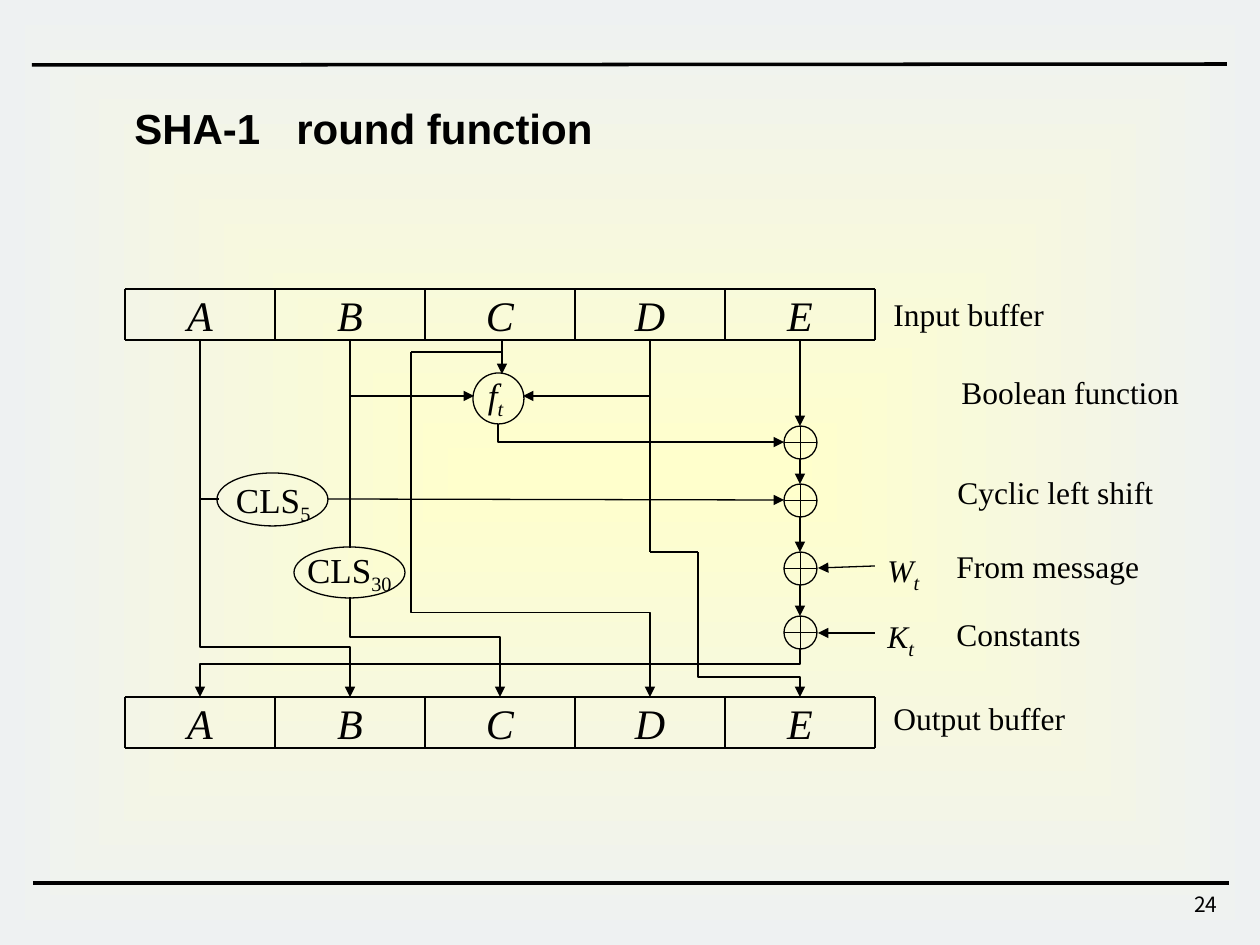
"""Build the SHA-1 round function slide."""
from pptx import Presentation
from pptx.dml.color import RGBColor
from pptx.enum.shapes import MSO_CONNECTOR, MSO_SHAPE
from pptx.enum.text import MSO_ANCHOR, PP_ALIGN
from pptx.oxml.ns import qn
from pptx.oxml.xmlchemy import OxmlElement
from pptx.util import Emu, Pt

STRAIGHT, ELBOW = MSO_CONNECTOR.STRAIGHT, MSO_CONNECTOR.ELBOW
RECTANGLE, OVAL, XOR = MSO_SHAPE.RECTANGLE, MSO_SHAPE.OVAL, MSO_SHAPE.FLOWCHART_OR
MIDDLE, TOP = MSO_ANCHOR.MIDDLE, MSO_ANCHOR.TOP
LEFT, CENTER, RIGHT = PP_ALIGN.LEFT, PP_ALIGN.CENTER, PP_ALIGN.RIGHT

BLACK = RGBColor(0x00, 0x00, 0x00)
CREAM = RGBColor(0xFF, 0xFF, 0xCC)
MIST = RGBColor(0xEE, 0xF1, 0xF2)
SERIF, SANS, NUMBER_FONT = "Times New Roman", "Arial", "Noto Sans CJK KR"

PX_PER_INCH = 126
REGISTERS = "ABCDE"
BUFFER_LEFT, CELL_WIDTH, CELL_HEIGHT = 125, 150, 51
INPUT_TOP, OUTPUT_TOP = 289, 697
XOR_SIZE = 33
XOR_TOPS = (426, 484, 552, 616)


def px(length):
    """Turn pixels into EMU."""
    return Emu(round(length * 914400 / PX_PER_INCH))


def add_child(parent, tag, **attributes):
    """Append an XML element with attributes and return it."""
    child = OxmlElement(tag)
    for name, value in attributes.items():
        child.set(name, str(value))
    parent.append(child)
    return child


def add_background(slide):
    """Fill the slide with a gradient that spreads from the centre."""
    backdrop = slide.shapes.add_shape(RECTANGLE, 0, 0, px(1260), px(945))
    backdrop.shadow.inherit = False
    backdrop.line.fill.background()
    backdrop.fill.gradient()
    for stop, color in zip(backdrop.fill.gradient_stops, (CREAM, MIST)):
        stop.color.rgb = color
    gradient = backdrop.element.spPr.find(qn("a:gradFill"))
    gradient.remove(gradient.find(qn("a:lin")))
    spread = add_child(gradient, "a:path", path="rect")
    add_child(spread, "a:fillToRect", l=50000, t=50000, r=50000, b=50000)


def style_connector(connector, weight, arrow):
    """Give a connector its line, arrowhead and no shadow."""
    connector.line.color.rgb = BLACK
    connector.line.width = Pt(weight)
    properties = connector.element.spPr
    if arrow:
        add_child(properties.find(qn("a:ln")), "a:tailEnd", type="triangle")
    add_child(properties, "a:effectLst")


def add_line(slide, x1, y1, x2, y2, weight=0.75, arrow=False):
    """Draw a straight line."""
    line = slide.shapes.add_connector(STRAIGHT, px(x1), px(y1), px(x2), px(y2))
    style_connector(line, weight, arrow)


def add_elbow(slide, x1, y1, x2, y2, turn_y):
    """Draw an arrow that leaves downwards and turns sideways at turn_y."""
    mid_x, mid_y = (x1 + x2) / 2, (y1 + y2) / 2
    half_x, half_y = (x2 - x1) / 2, (y2 - y1) / 2
    elbow = slide.shapes.add_connector(
        ELBOW, px(mid_x - half_y), px(mid_y + half_x),
        px(mid_x + half_y), px(mid_y - half_x))
    properties = elbow.element.spPr
    properties.find(qn("a:xfrm")).set("rot", "5400000")
    geometry = properties.find(qn("a:prstGeom"))
    if turn_y == y2:
        geometry.set("prst", "bentConnector2")
    else:
        share = round((turn_y - y1) / (y2 - y1) * 100000)
        add_child(geometry.find(qn("a:avLst")), "a:gd", name="adj1", fmla=f"val {share}")
    style_connector(elbow, 0.75, True)


def add_outline(slide, kind, left, top, width, height):
    """Draw an unfilled outlined shape."""
    outline = slide.shapes.add_shape(kind, px(left), px(top), px(width), px(height))
    outline.shadow.inherit = False
    outline.fill.background()
    outline.line.color.rgb = BLACK
    outline.line.width = Pt(0.75)


def add_text(slide, text, left, top, width, height, size=18, font=SERIF, subscript="",
             bold=False, italic=False, align=LEFT, anchor=TOP, wrap=False, inset=True, tab=None):
    """Add one line of text with an optional subscript."""
    frame = slide.shapes.add_textbox(px(left), px(top), px(width), px(height)).text_frame
    frame.word_wrap = wrap
    frame.vertical_anchor = anchor
    if not inset:
        frame.margin_left = frame.margin_right = frame.margin_top = frame.margin_bottom = 0
    paragraph = frame.paragraphs[0]
    paragraph.text = text
    paragraph.alignment = align
    if tab:
        stops = add_child(paragraph._p.get_or_add_pPr(), "a:tabLst")
        add_child(stops, "a:tab", pos=px(tab), algn="l")
    if subscript:
        lowered = paragraph.add_run()
        lowered.text = subscript
        lowered._r.get_or_add_rPr().set("baseline", "-25000")
    for run in paragraph.runs:
        run.font.name, run.font.size = font, Pt(size)
        run.font.bold, run.font.italic = bold, italic
        run.font.color.rgb = BLACK
    if subscript:
        lowered.font.size = Pt(20)


def add_buffer(slide, top):
    """Draw a row of five register cells."""
    right, bottom = BUFFER_LEFT + CELL_WIDTH * len(REGISTERS), top + CELL_HEIGHT
    for column, register in enumerate(REGISTERS):
        add_text(slide, register, BUFFER_LEFT + column * CELL_WIDTH, top, CELL_WIDTH,
                 CELL_HEIGHT, 24, italic=True, align=CENTER, anchor=MIDDLE, wrap=True)
    for y in (top, bottom):
        add_line(slide, BUFFER_LEFT, y, right, y, 1)
    for x in range(BUFFER_LEFT, right + 1, CELL_WIDTH):
        add_line(slide, x, top, x, bottom, 1)


def add_operations(slide):
    """Draw the round function, shifts and additions."""
    add_outline(slide, OVAL, 473, 373, 51, 51)
    add_text(slide, "f", 488, 373, 33, 42, 20, subscript="t", italic=True, inset=False)
    add_outline(slide, OVAL, 217, 473, 111, 53)
    add_text(slide, "CLS", 236, 478, 84, 42, 20, subscript="5", inset=False)
    add_outline(slide, OVAL, 294, 547, 111, 51)
    add_text(slide, "CLS", 307, 548, 93, 42, 20, subscript="30", inset=False)
    for top in XOR_TOPS:
        add_outline(slide, XOR, 784, top, XOR_SIZE, XOR_SIZE)


def add_wiring(slide):
    """Connect the registers with the operations."""
    bottom = INPUT_TOP + CELL_HEIGHT
    a, b, c, d, e = (BUFFER_LEFT + CELL_WIDTH * n + CELL_WIDTH // 2 for n in range(5))
    for x1, y1, x2, turn_y in ((a, bottom, b, 647), (b, 597, c, 637), (411, 352, d, 612),
                               (e, 649, a, 664), (698, 552, e, 677)):
        add_elbow(slide, x1, y1, x2, OUTPUT_TOP, turn_y)
    add_elbow(slide, 498, 424, 784, 442, 442)
    starts = (bottom, *(top + XOR_SIZE for top in XOR_TOPS))
    for start, end in zip(starts, XOR_TOPS):
        add_line(slide, e, start, e, end, arrow=True)
    for arrow in ((328, 499, 784, 500), (502, 341, 502, 374), (b, 396, 474, 396),
                  (d, 396, 523, 396), (875, 566, 818, 568), (875, 633, 818, 633)):
        add_line(slide, *arrow, arrow=True)
    for plain in ((b, bottom, b, 548), (411, 352, 502, 352), (d, 341, d, 552),
                  (d, 552, 698, 552), (a, 499, 219, 499)):
        add_line(slide, *plain)


def add_labels(slide):
    """Write the legends beside the diagram."""
    for text, left, top, width in (
            ("Input buffer", 881, 289, 176), ("Output buffer", 881, 693, 198),
            ("Boolean function", 949, 367, 243), ("Cyclic left shift", 945, 467, 222),
            ("From message", 944, 541, 208), ("Constants", 944, 609, 158)):
        add_text(slide, text, left, top, width, 50)
    for text, top, width in (("W", 541, 58), ("K", 607, 53)):
        add_text(slide, text, 875, top, width, 50, subscript="t", italic=True)


def main():
    """Assemble and save the slide."""
    deck = Presentation()
    deck.slide_width, deck.slide_height = px(1260), px(945)
    slide = deck.slides.add_slide(deck.slide_layouts[6])
    add_background(slide)
    add_line(slide, 32, 65, 1227, 64, 2)
    add_line(slide, 33, 883, 1229, 883, 2)
    add_text(slide, "24", 968, 885, 262, 42, 12, NUMBER_FONT, align=RIGHT, wrap=True)
    add_text(slide, "SHA-1\tround function", 122, 96, 505, 63, 24, SANS,
             bold=True, wrap=True, tab=162)
    for top in (INPUT_TOP, OUTPUT_TOP):
        add_buffer(slide, top)
    add_operations(slide)
    add_wiring(slide)
    add_labels(slide)
    deck.save("out.pptx")


if __name__ == "__main__":
    main()
